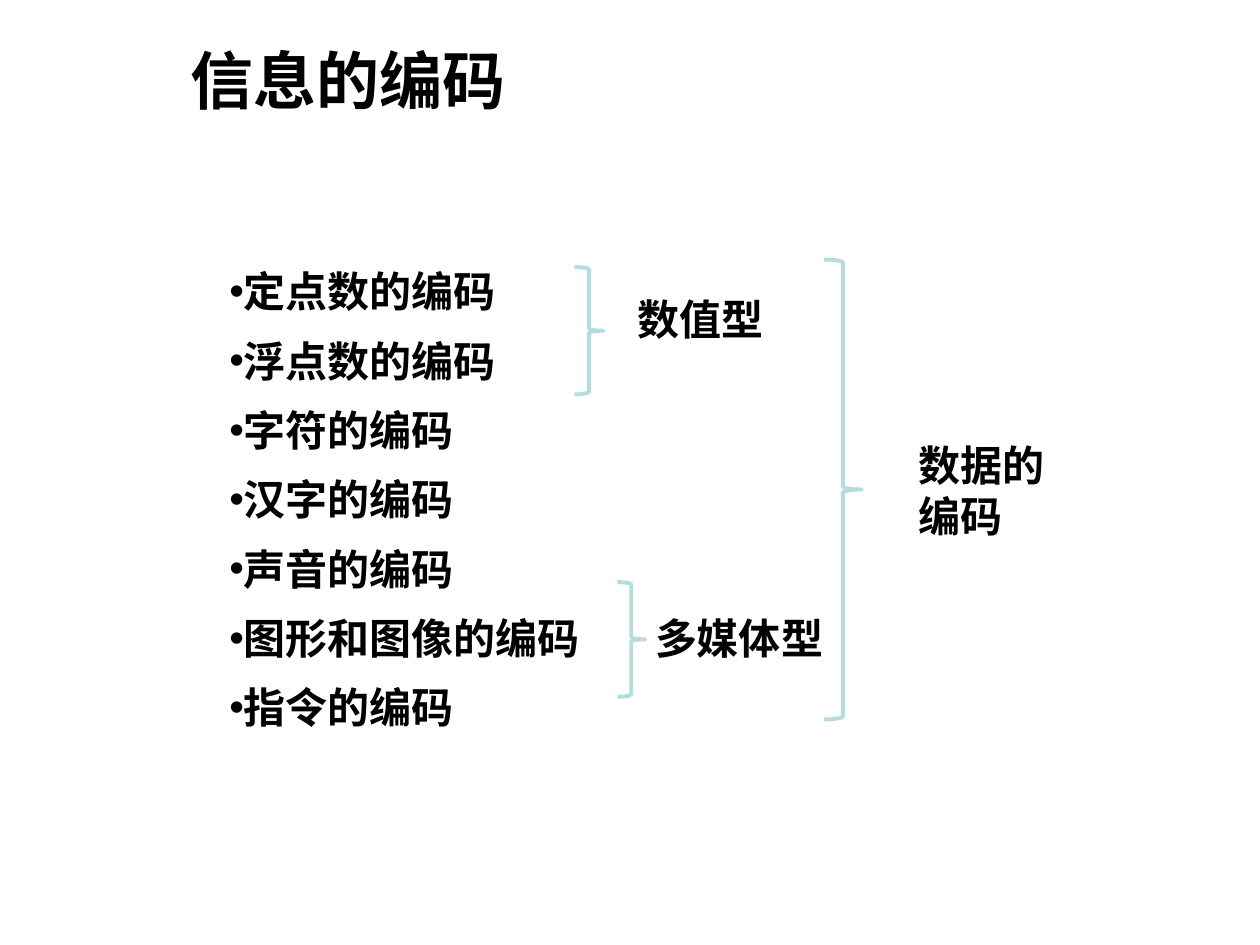
from dataclasses import dataclass

from pptx import Presentation
from pptx import util as u
from pptx.dml.color import RGBColor
from pptx.enum import shapes, text
from pptx.oxml.ns import qn


@dataclass(frozen=True)
class Theme:
    ink: RGBColor = RGBColor(0, 0, 0)
    brace: RGBColor = RGBColor(0xB6, 0xDC, 0xDF)
    main_font: str = "Noto Sans CJK SC"
    label_font: str = "Quicksand"
    title_size: int = 36
    text_size: int = 24
    brace_width: float = 2.25


THEME = Theme()
WIDTH, HEIGHT = u.Inches(10), u.Inches(7.5)

# Boxes are left, top, width, height in percent of the slide
TITLE_BOX = (14.1, 0.8, 82, 12.27)
LIST_BOX = (17.2, 27.47, 64.3, 55.07)
ENCODINGS = ["定点数的编码", "浮点数的编码", "字符的编码", "汉字的编码",
             "声音的编码", "图形和图像的编码", "指令的编码"]
# Label, brace box, label box
CATEGORIES = [
    ("数值型", (45.6, 28.27, 2.3, 13.47), (49.6, 30.4, 13.2, 6.8)),
    ("数据的编码", (65.4, 27.47, 3, 48.67), (71.9, 45.87, 12.6, 12.13)),
    ("多媒体型", (49, 61.6, 2.2, 12.13), (51, 64.13, 16.1, 6.8)),
]


def to_emu(box):
    x, y, w, h = box
    return (int(WIDTH * x / 100), int(HEIGHT * y / 100),
            int(WIDTH * w / 100), int(HEIGHT * h / 100))


def place(sp, box):
    sp.left, sp.top, sp.width, sp.height = to_emu(box)


def add_run(p, wording, size, font):
    r = p.add_run()
    r.text = wording
    r.font.size = u.Pt(size)
    r.font.bold = True
    r.font.name = font
    r.font.color.rgb = THEME.ink
    # East Asian glyphs take their own typeface setting
    ea = r.font._element.makeelement(qn("a:ea"), {"typeface": font})
    r.font._element.find(qn("a:latin")).addnext(ea)


def add_title(slide, box, wording):
    sp = slide.shapes.title
    place(sp, box)
    tf = sp.text_frame
    tf.auto_size = text.MSO_AUTO_SIZE.NONE
    tf.vertical_anchor = text.MSO_ANCHOR.BOTTOM
    p = tf.paragraphs[0]
    p.alignment = text.PP_ALIGN.LEFT
    add_run(p, wording, THEME.title_size, THEME.main_font)


def add_list(slide, box, items):
    sp = slide.placeholders[1]
    place(sp, box)
    tf = sp.text_frame
    tf.auto_size = text.MSO_AUTO_SIZE.NONE
    for i, item in enumerate(items):
        p = tf.add_paragraph() if i else tf.paragraphs[0]
        p.space_before = u.Pt(0.2 * THEME.text_size)
        p.space_after = u.Pt(6)
        # Bullet sits directly before the text
        pPr = p._p.get_or_add_pPr()
        pPr.set("marL", "0")
        pPr.set("indent", "0")
        bullet = pPr.makeelement(qn("a:buChar"), {"char": "•"})
        pPr.append(bullet)
        add_run(p, item, THEME.text_size, THEME.main_font)


def add_category(slide, wording, brace_box, label_box):
    brace = slide.shapes.add_shape(shapes.MSO_SHAPE.RIGHT_BRACE,
                                   *to_emu(brace_box))
    brace.shadow.inherit = False
    brace.fill.background()
    brace.line.color.rgb = THEME.brace
    brace.line.width = u.Pt(THEME.brace_width)

    label = slide.shapes.add_textbox(*to_emu(label_box))
    tf = label.text_frame
    tf.word_wrap = True
    tf.auto_size = text.MSO_AUTO_SIZE.SHAPE_TO_FIT_TEXT
    add_run(tf.paragraphs[0], wording, THEME.text_size, THEME.label_font)


def main():
    prs = Presentation()
    prs.slide_width, prs.slide_height = WIDTH, HEIGHT
    slide = prs.slides.add_slide(prs.slide_layouts[1])
    add_title(slide, TITLE_BOX, "信息的编码")
    add_list(slide, LIST_BOX, ENCODINGS)
    for category in CATEGORIES:
        add_category(slide, *category)
    prs.save("out.pptx")


if __name__ == "__main__":
    main()
